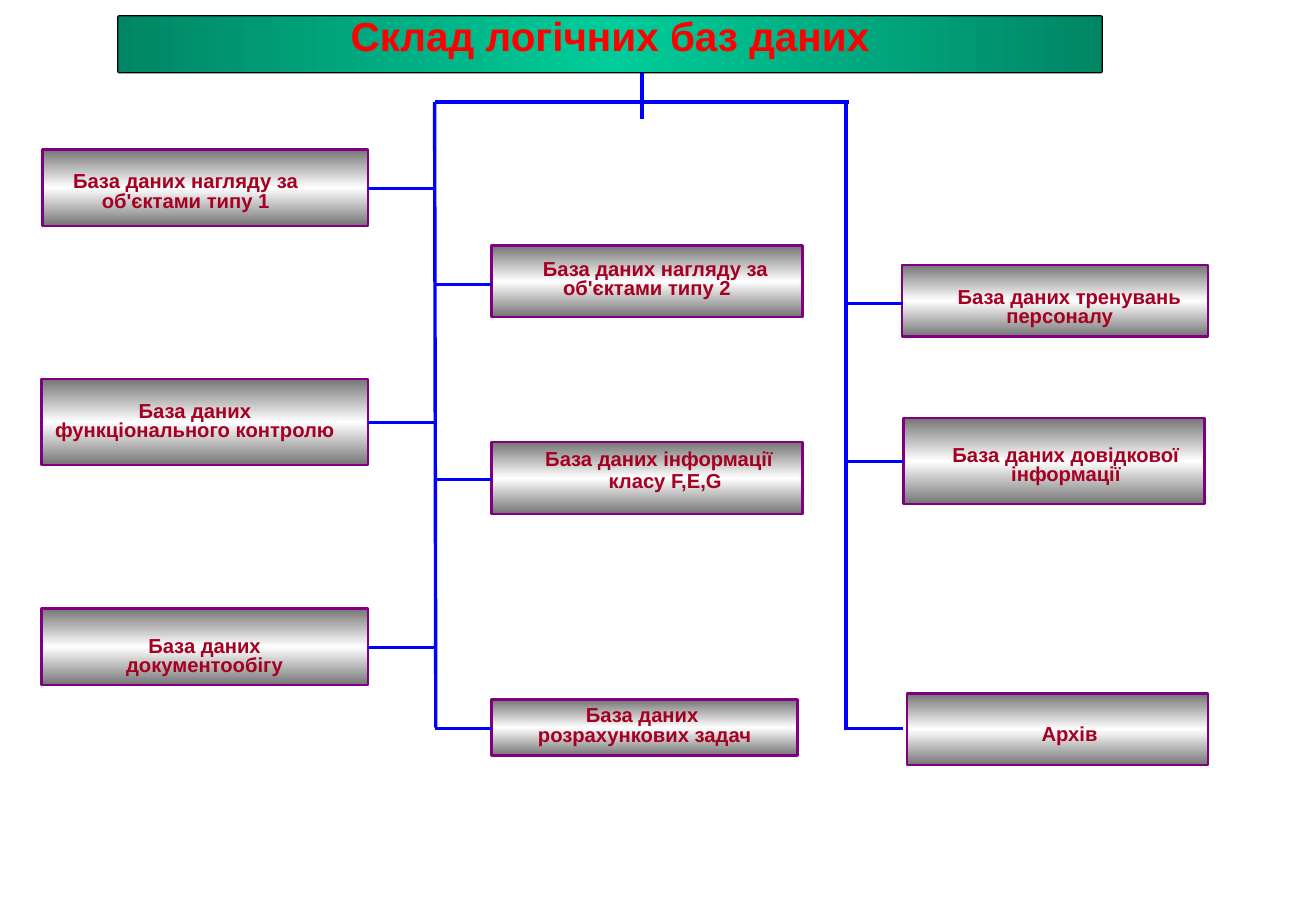
"""Build the slide that charts the logical databases."""
from copy import deepcopy
from pptx import Presentation
from pptx.dml.color import RGBColor
from pptx.enum.shapes import MSO_CONNECTOR, MSO_SHAPE
from pptx.enum.text import MSO_ANCHOR, PP_ALIGN
from pptx.oxml.ns import qn
from pptx.oxml.xmlchemy import OxmlElement
from pptx.util import Pt

PX = 9144
THEME = {
    "font": "Arial",
    "head": {"edge": "000000", "width": 0.75, "ends": "008665", "mid": "00CC99",
             "angle": 0, "ink": "FF0000", "size": 24},
    "box": {"edge": "800080", "width": 1.5, "ends": "757575", "mid": "FFFFFF",
            "angle": 90, "ink": "A50021", "size": 12},
    "wire": "0000FF",
    "wire_width": 2,
}


def panel(kind, look, place, pad, pace, lines):
    shape = slide.shapes.add_shape(kind, *[n * PX for n in place])
    shape.shadow.inherit = False
    shape.line.color.rgb = RGBColor.from_string(look["edge"])
    shape.line.width = Pt(look["width"])
    shape.fill.gradient()
    shape.fill.gradient_angle = look["angle"]
    stops = shape.element.spPr.find(".//" + qn("a:gsLst"))
    stops.insert(1, deepcopy(stops[0]))
    tones = (look["ends"], look["mid"], look["ends"])
    for stop, spot, tone in zip(shape.fill.gradient_stops, (0, 0.5, 1), tones):
        stop.position = spot
        stop.color.rgb = RGBColor.from_string(tone)
    frame = shape.text_frame
    frame.word_wrap = True
    frame.vertical_anchor = MSO_ANCHOR.TOP
    (frame.margin_left, frame.margin_top,
     frame.margin_right, frame.margin_bottom) = [n * PX for n in pad]
    for row, (text, nudge) in enumerate(lines):
        para = frame.add_paragraph() if row else frame.paragraphs[0]
        para.alignment = PP_ALIGN.CENTER
        para.line_spacing = pace
        para._p.get_or_add_pPr().set("marL", str(2 * nudge * PX))
        run = para.add_run()
        run.text = text
        run.font.name = THEME["font"]
        run.font.size = Pt(look["size"])
        run.font.bold = True
        run.font.color.rgb = RGBColor.from_string(look["ink"])
    return shape


deck = Presentation()
deck.slide_width, deck.slide_height = 1084 * PX, 750 * PX
slide = deck.slides.add_slide(deck.slide_layouts[6])

BOXES = [
    ((35, 123, 268, 63), 20, -16, 0.79,
     [("База даних нагляду за", 0), ("об'єктами типу 1", 0)]),
    ((34, 312, 269, 71), 20, -8, 0.79,
     [("База даних", 0), ("функціонального контролю", 0)]),
    ((34, 501, 269, 63), 24, 0, 0.79,
     [("База даних", 0), ("документообігу", 0)]),
    ((405, 202, 256, 59), 13, 0, 0.79,
     [("База даних нагляду за", 7), ("об'єктами типу 2", 0)]),
    ((405, 364, 256, 59), 5, 10, 0.93,
     [("База даних інформації", 0), ("класу F,E,G", 5)]),
    ((405, 576, 252, 46), 5, -2, 0.85,
     [("База даних", 0), ("розрахункових задач", 2)]),
    ((743, 218, 252, 59), 20, 4, 0.79,
     [("База даних тренувань", 8), ("персоналу", 0)]),
    ((744, 344, 248, 71), 24, 10, 0.79,
     [("База даних довідкової", 0), ("інформації", 0)]),
    ((747, 571, 248, 59), 25, 10, 0.93, [("Архів", 0)]),
]
for place, top, lean, pace, lines in BOXES:
    pad = (2 + 2 * max(lean, 0), top, 2 + 2 * max(-lean, 0), 5)
    panel(MSO_SHAPE.RECTANGLE, THEME["box"], place, pad, pace, lines)

title = panel(MSO_SHAPE.ROUNDED_RECTANGLE, THEME["head"], (97, 13, 811, 47),
              (10, 5, 10, 5), 0.75, [("Склад логічних баз даних", 0)])
title.adjustments[0] = 0.03

WIRES = [(697, 85, 697, 601), (529, 60, 529, 98),
         (358, 84, 699, 84), (358, 84, 359, 599)]
for start, end, rows in (
    (303, 359, (155, 348, 533)),
    (358, 405, (234, 395, 600)),
    (697, 744, (250, 380, 600)),
):
    WIRES += [(start, y, end, y) for y in rows]
for ends in WIRES:
    wire = slide.shapes.add_connector(MSO_CONNECTOR.STRAIGHT, *[n * PX for n in ends])
    wire.line.color.rgb = RGBColor.from_string(THEME["wire"])
    wire.line.width = Pt(THEME["wire_width"])
    wire.element.spPr.append(OxmlElement("a:effectLst"))

deck.save("out.pptx")
